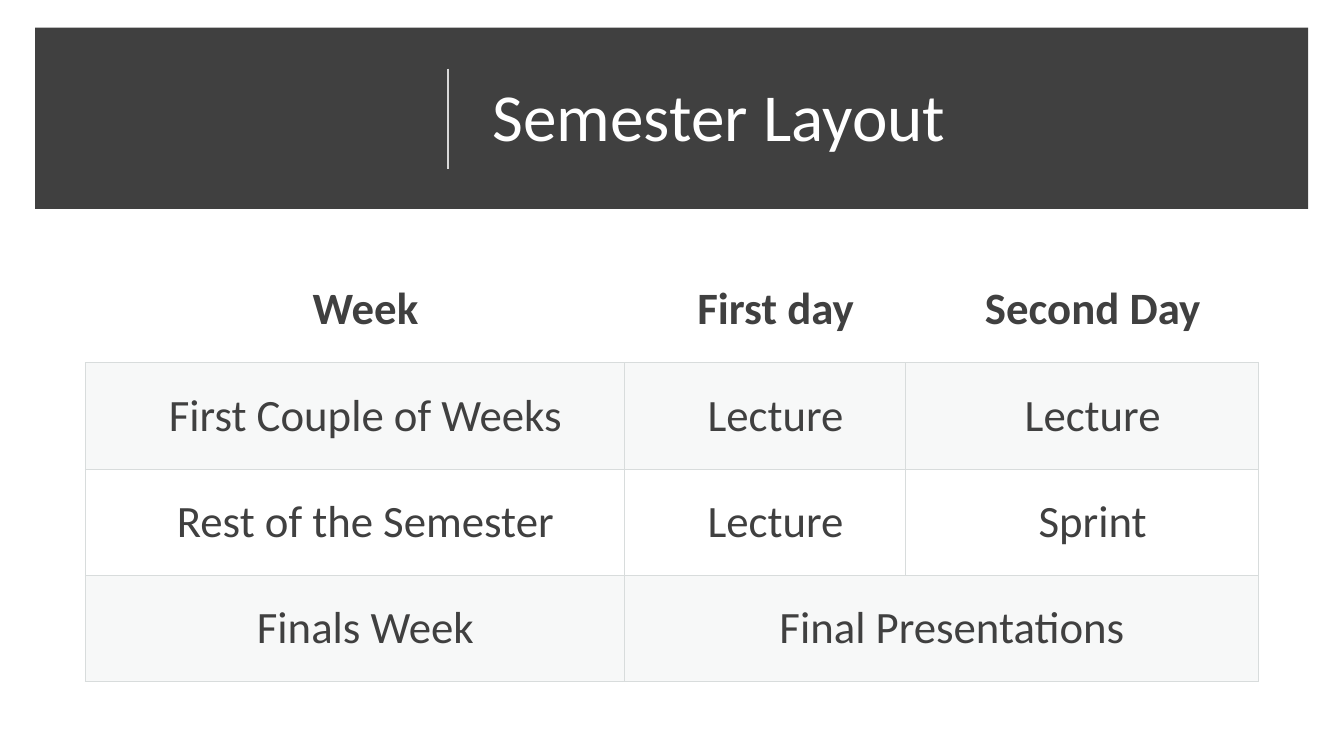
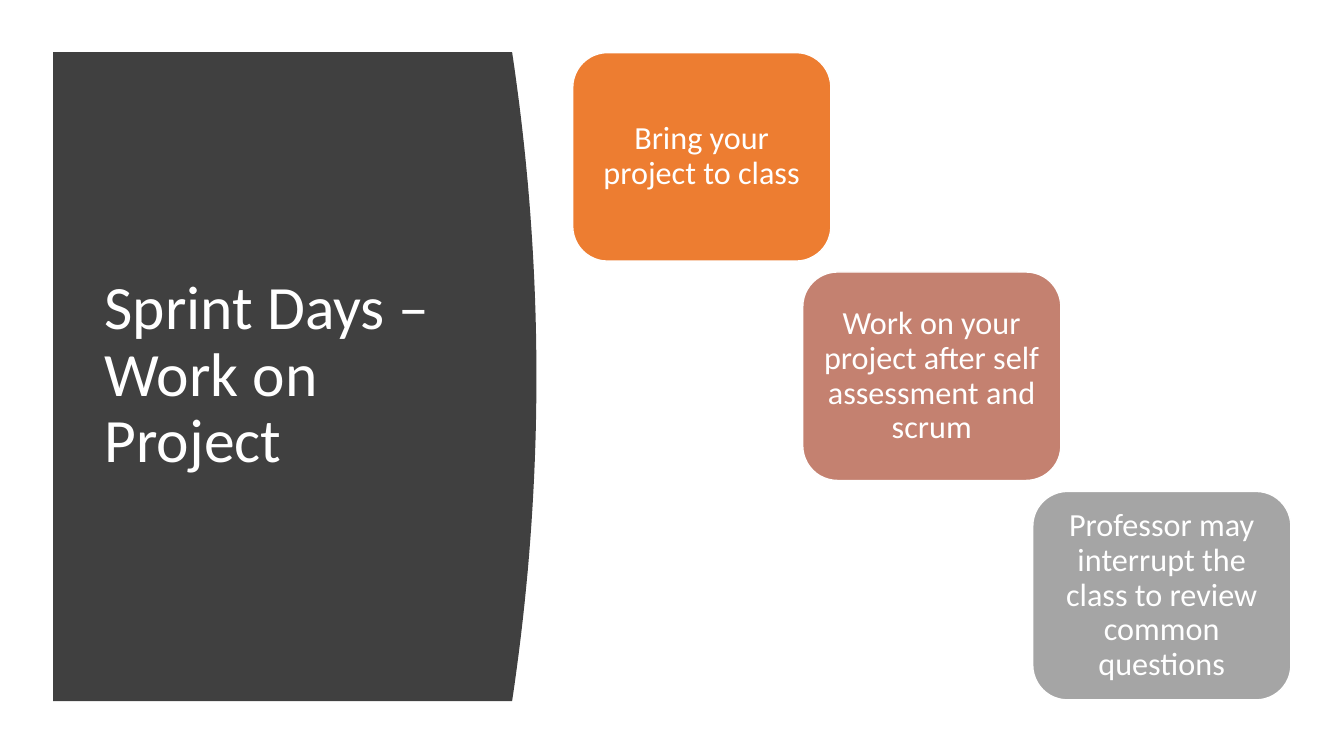
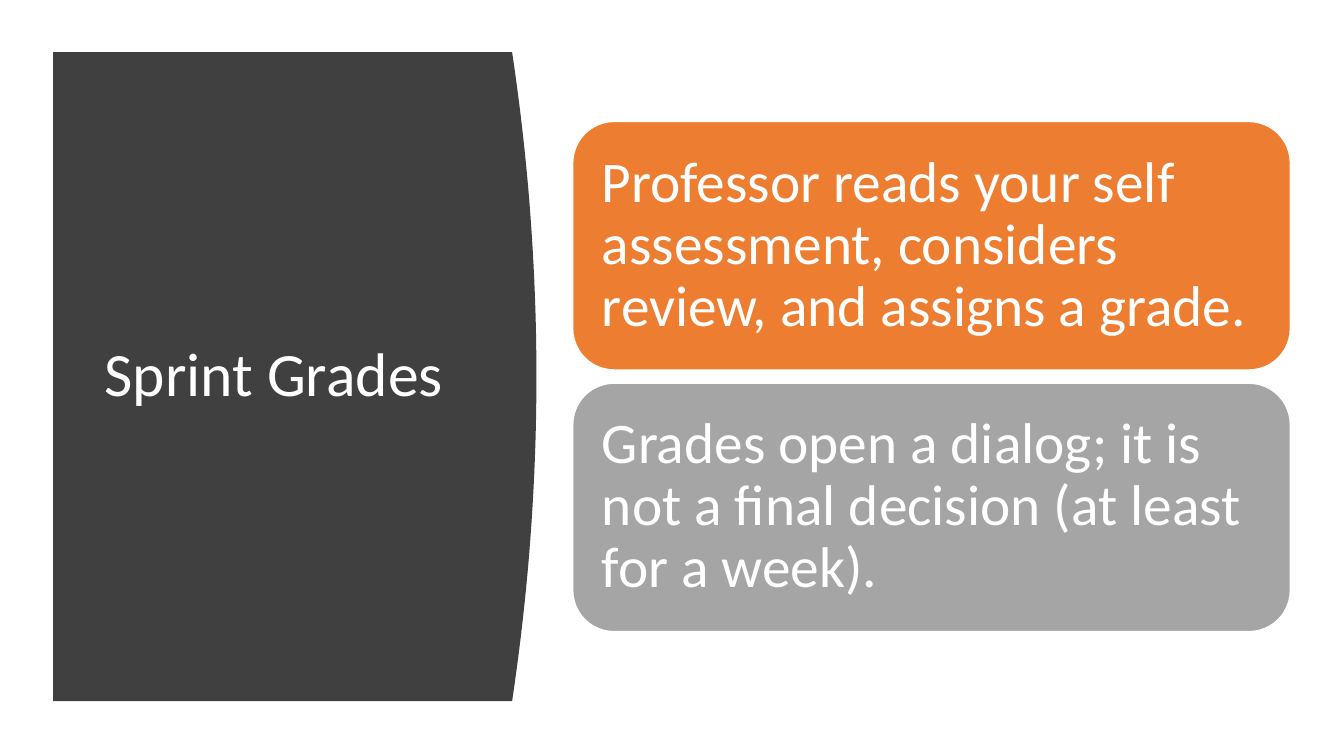
from lxml import etree
from pptx import Presentation
from pptx.dml.color import RGBColor
from pptx.enum.shapes import MSO_CONNECTOR, MSO_SHAPE
from pptx.enum.text import MSO_ANCHOR, PP_ALIGN
from pptx.oxml.ns import qn
from pptx.util import Pt

LEFT, CENTER = PP_ALIGN.LEFT, PP_ALIGN.CENTER
MIDDLE = MSO_ANCHOR.MIDDLE
RECTANGLE, ROUNDED = MSO_SHAPE.RECTANGLE, MSO_SHAPE.ROUNDED_RECTANGLE
STRAIGHT = MSO_CONNECTOR.STRAIGHT

FONT = "Calibri"
COLORS = {
    "dark": "404040", "white": "FFFFFF", "divider": "D9D9D9",
    "orange": "ED7D31", "clay": "C48170", "gray": "A5A5A5",
    "row": "F7F8F8", "grid": "D8DCDC",
}

# Content
LAYOUT_TITLE = "Semester Layout"
LAYOUT_ROWS = [
    ("Week", "First day", "Second Day"),
    ("First Couple of Weeks", "Lecture", "Lecture"),
    ("Rest of the Semester", "Lecture", "Sprint"),
    ("Finals Week", "Final Presentations", ""),
]
COLUMN_WIDTHS = (385, 201, 252)
ROW_HEIGHT = 76
CARD_SLIDES = [
    {
        "title": "Sprint Days – Work on Project",
        "cards": [
            ("Bring your project to class", "orange"),
            ("Work on your project after self assessment and scrum", "clay"),
            ("Professor may interrupt the class to review common questions", "gray"),
        ],
        "first": (409.1, 37.6), "size": (184.4, 148.9), "step": (164.3, 156.7),
        "text": {"size": 23, "align": CENTER, "insets": (7.2, 3.6, 7.2, 3.6)},
    },
    {
        "title": "Sprint Grades",
        "cards": [
            ("Professor reads your self assessment, considers review, and assigns a grade.", "orange"),
            ("Grades open a dialog; it is not a final decision (at least for a week).", "gray"),
        ],
        "first": (409.1, 86.8), "size": (512.6, 177.5), "step": (0, 186.9),
        "text": {"size": 41, "align": LEFT, "insets": (12.2, 12.2, 12.2, 12.2)},
    },
]


def color(name):
    return RGBColor.from_string(COLORS[name])


def set_values(target, values):
    for name, value in values.items():
        setattr(target, name, value)


def points(*numbers):
    return [Pt(number) for number in numbers]


def margins(insets):
    sides = ("margin_left", "margin_top", "margin_right", "margin_bottom")
    return dict(zip(sides, points(*insets)))


def write(frame, text, size, ink="white", align=LEFT, bold=False, spacing=0.9):
    paragraph = frame.paragraphs[0]
    set_values(paragraph, {"alignment": align, "line_spacing": spacing})
    run = paragraph.add_run()
    run.text = text
    set_values(run.font, {"name": FONT, "size": Pt(size), "bold": bold})
    run.font.color.rgb = color(ink)


def paint(shape, fill, line=None):
    shape.shadow.inherit = False
    shape.fill.solid()
    shape.fill.fore_color.rgb = color(fill)
    if line:
        shape.line.color.rgb = color(line)
        shape.line.width = Pt(1)
    else:
        shape.line.fill.background()


def add_title(slide, text, box, size):
    frame = slide.shapes.add_textbox(*points(*box)).text_frame
    set_values(frame, {"word_wrap": True, "vertical_anchor": MIDDLE})
    write(frame, text, size)


def add_curved_panel(slide):
    left, top, bottom, shoulder, bulge = 38, 37.2, 500.9, 365.8, 17.4
    steps = 40
    curve = []
    for step in range(steps + 1):
        share = step / steps
        x = shoulder + bulge * 4 * share * (1 - share)
        curve.append(points(x, top + (bottom - top) * share))
    builder = slide.shapes.build_freeform(*points(left, top))
    builder.add_line_segments(curve + [points(left, bottom)], close=True)
    paint(builder.convert_to_shape(), "dark")


def add_card(slide, box, text, fill, style):
    card = slide.shapes.add_shape(ROUNDED, *points(*box))
    paint(card, fill, line="white")
    frame = card.text_frame
    set_values(frame, {"word_wrap": True, "vertical_anchor": MIDDLE,
                       **margins(style["insets"])})
    write(frame, text, style["size"], align=style["align"])


def set_borders(cell, visible):
    properties = cell._tc.get_or_add_tcPr()
    # Borders must come before the fill, in this order
    for index, side in enumerate(("lnL", "lnR", "lnT", "lnB")):
        border = etree.Element(qn("a:" + side), w=str(Pt(0.75)))
        if side in visible:
            fill = etree.SubElement(border, qn("a:solidFill"))
            etree.SubElement(fill, qn("a:srgbClr"), val=COLORS["grid"])
        else:
            etree.SubElement(border, qn("a:noFill"))
        properties.insert(index, border)


def add_layout_table(slide):
    row_count = len(LAYOUT_ROWS)
    box = points(61, 183, sum(COLUMN_WIDTHS), ROW_HEIGHT * row_count)
    table = slide.shapes.add_table(row_count, len(COLUMN_WIDTHS), *box).table
    set_values(table, {"first_row": False, "horz_banding": False})
    for column, width in zip(table.columns, COLUMN_WIDTHS):
        column.width = Pt(width)
    for row_index, texts in enumerate(LAYOUT_ROWS):
        table.rows[row_index].height = Pt(ROW_HEIGHT)
        header = row_index == 0
        for column_index, text in enumerate(texts):
            cell = table.cell(row_index, column_index)
            set_values(cell, {"vertical_anchor": MIDDLE,
                              **margins((31, 15.8, 15.8, 15.8))})
            if row_index % 2:
                cell.fill.solid()
                cell.fill.fore_color.rgb = color("row")
            else:
                cell.fill.background()
            set_borders(cell, ("lnB",) if header else ("lnL", "lnR", "lnT", "lnB"))
            if text:
                write(cell.text_frame, text, 32, "dark", CENTER, header, 1.0)
    last = row_count - 1
    table.cell(last, 1).merge(table.cell(last, 2))


def add_layout_slide(slide):
    # Title band with divider
    band = slide.shapes.add_shape(RECTANGLE, *points(25.2, 19.8, 909.3, 129.5))
    paint(band, "dark")
    add_title(slide, LAYOUT_TITLE, (344.9, 36, 549.4, 99.4), 48)
    divider = slide.shapes.add_connector(STRAIGHT, *points(319.7, 49, 319.7, 121))
    divider.line.color.rgb = color("divider")
    divider.line.width = Pt(1.5)
    etree.SubElement(divider._element.spPr, qn("a:effectLst"))
    add_layout_table(slide)


def add_card_slide(slide, content):
    add_curved_panel(slide)
    add_title(slide, content["title"], (67.7, 80, 269.3, 377.3), 44)
    (left, top), (step_x, step_y) = content["first"], content["step"]
    for index, (text, fill) in enumerate(content["cards"]):
        box = (left + index * step_x, top + index * step_y, *content["size"])
        add_card(slide, box, text, fill, content["text"])


def main():
    presentation = Presentation()
    set_values(presentation, {"slide_width": Pt(960), "slide_height": Pt(540)})
    blank = presentation.slide_layouts[6]
    add_layout_slide(presentation.slides.add_slide(blank))
    for content in CARD_SLIDES:
        add_card_slide(presentation.slides.add_slide(blank), content)
    presentation.save("out.pptx")


if __name__ == "__main__":
    main()
